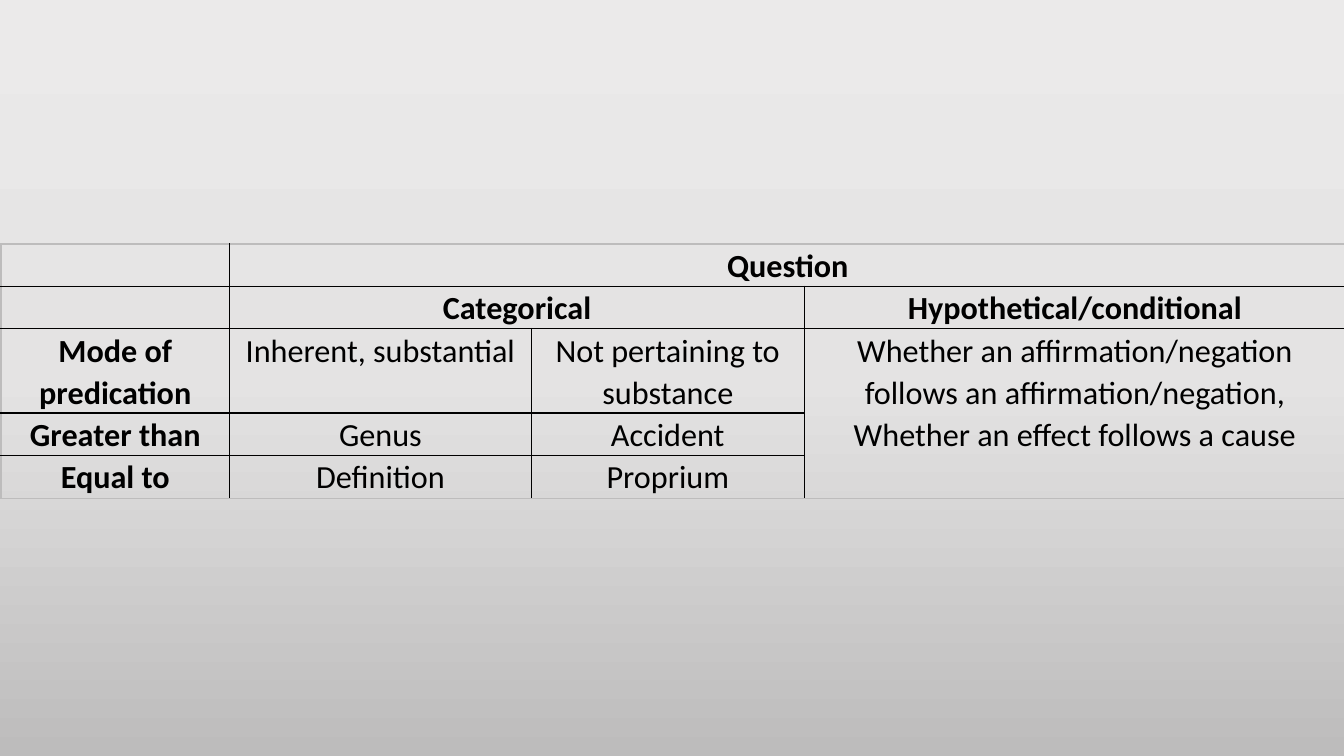
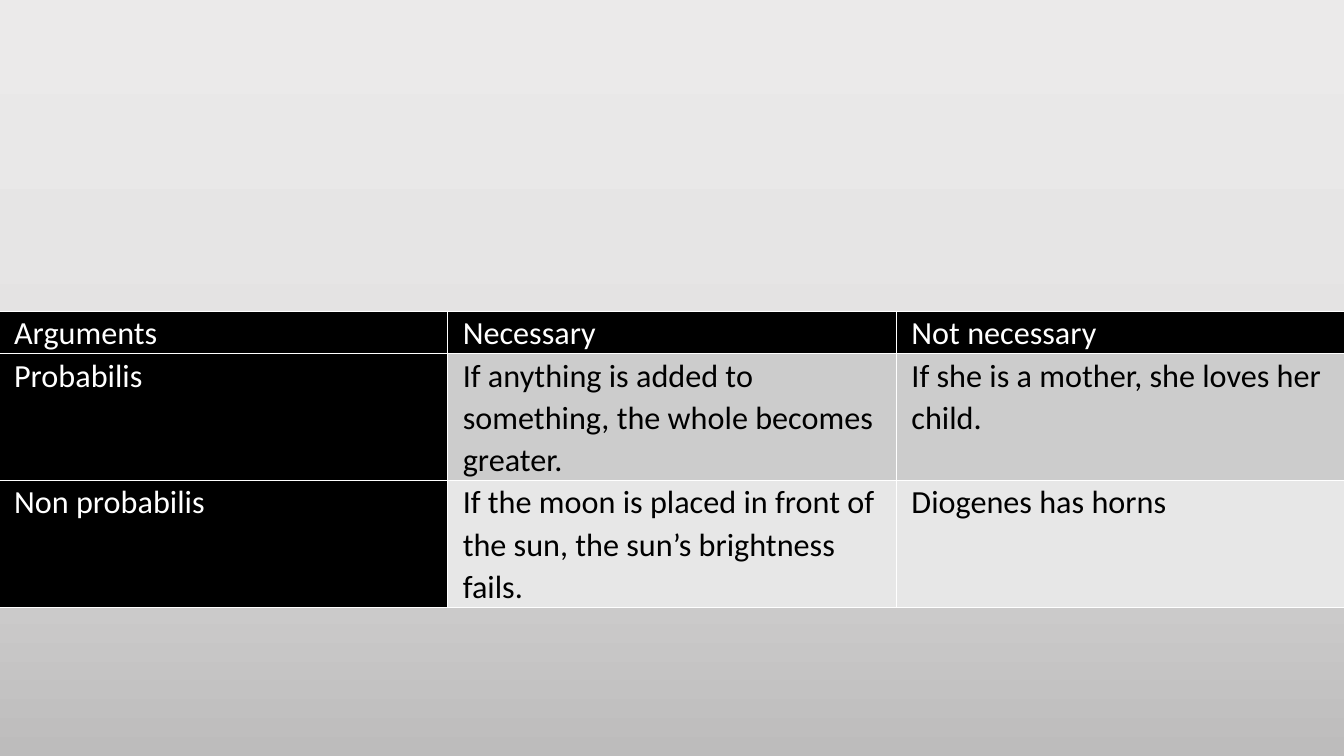
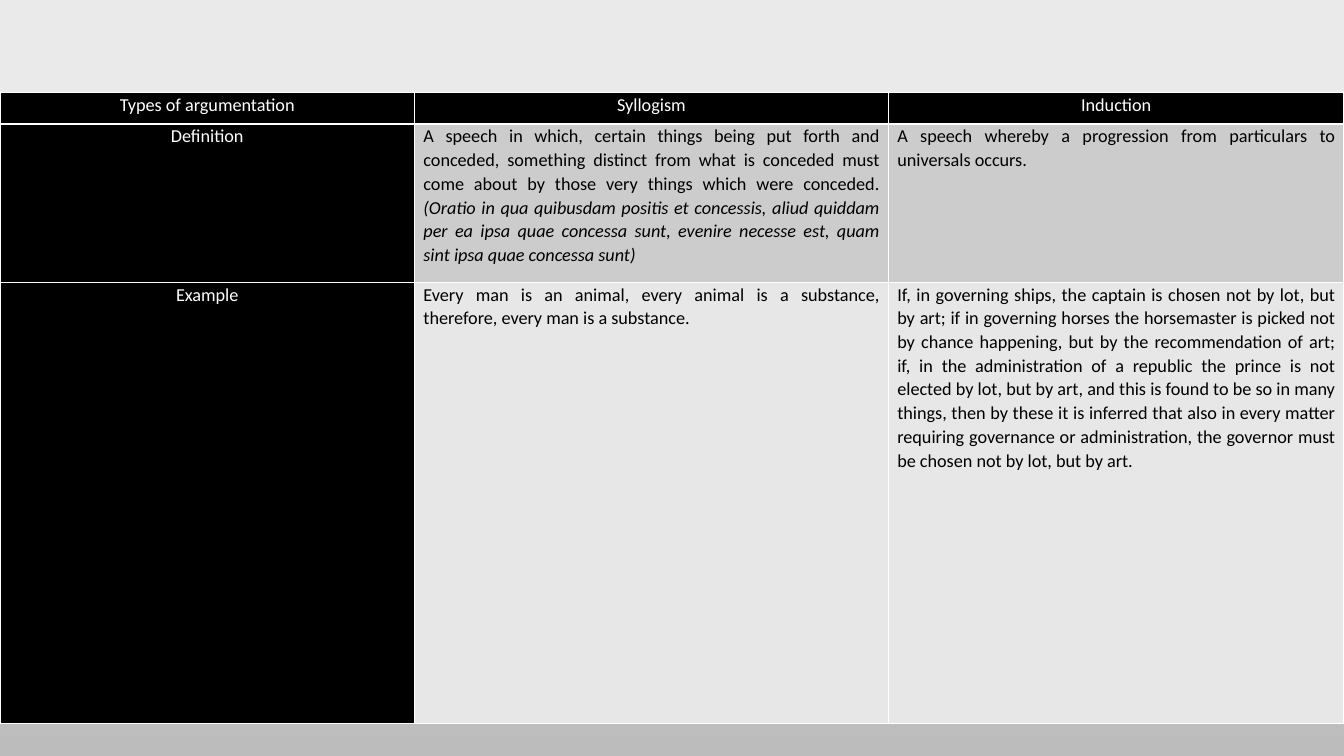
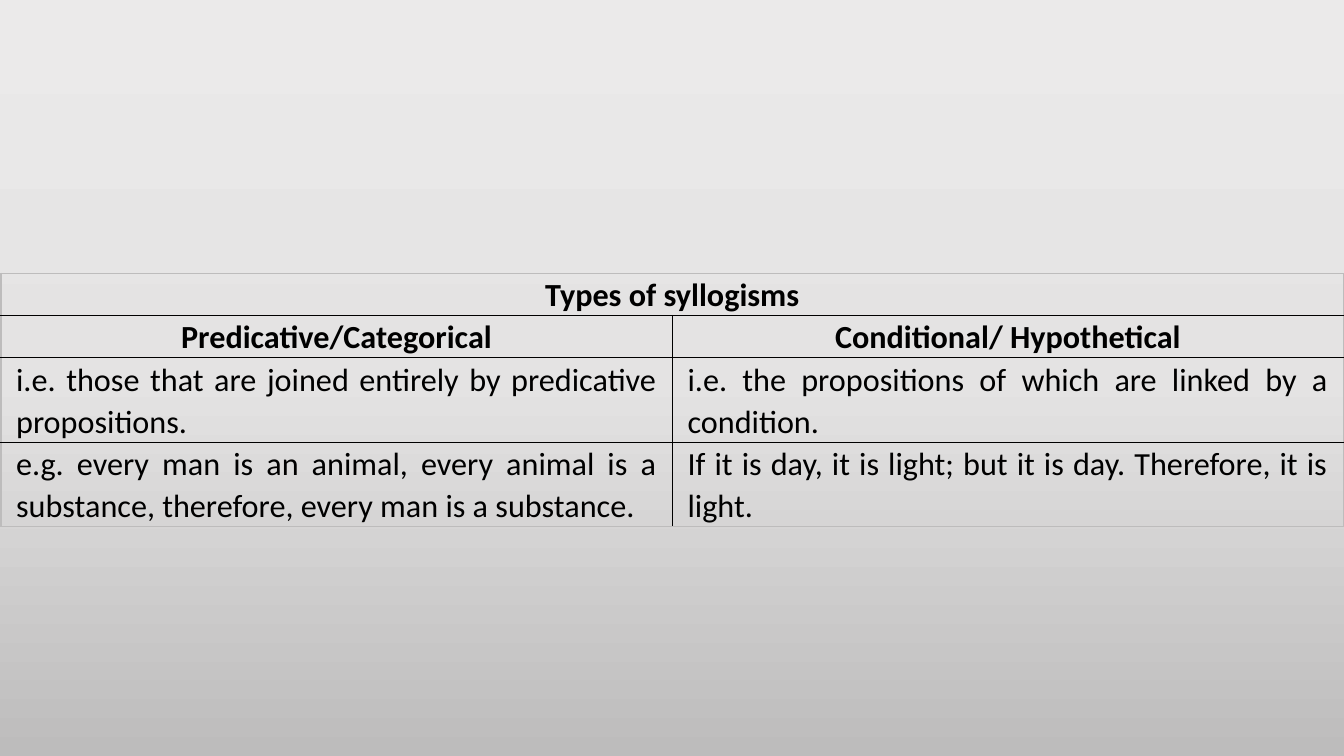
import copy

import pptx
import pptx.dml.color
import pptx.enum.text
import pptx.oxml.ns
import pptx.util
from lxml import etree

Inches = pptx.util.Inches
RGBColor = pptx.dml.color.RGBColor
qn = pptx.oxml.ns.qn
ALIGN = pptx.enum.text.PP_ALIGN

BLACK = RGBColor(0x00, 0x00, 0x00)
WHITE = RGBColor(0xFF, 0xFF, 0xFF)
EDGE_GRAY = RGBColor(0xBD, 0xBC, 0xBC)
BAND_FILLS = [RGBColor(0xCC, 0xCC, 0xCC), RGBColor(0xE7, 0xE7, 0xE7)]
BACKGROUND_STOPS = [
    (0, RGBColor(0xEB, 0xEA, 0xEA)),
    (0.5, RGBColor(0xE4, 0xE3, 0xE3)),
    (1, RGBColor(0xBD, 0xBC, 0xBC)),
]
FONT = "Calibri"
PLAIN_TABLE_STYLE = "{2D5ABB26-0587-4C30-8999-92F81FD0307C}"

# None marks a cell covered by a merge; a tuple holds plain text, then italic text.
TABLES = [
    dict(
        left=0.01, top=2.42, size=23, margin=0.15, dark_headers=False,
        columns=[2.27, 2.99, 2.71, 5.37], rows=[0.42, 0.42, 0.83, 0.42, 0.43],
        header_rows=2, header_columns=1,
        header_align=ALIGN.CENTER, body_align=ALIGN.CENTER,
        merges=[(0, 1, 0, 3), (1, 1, 1, 2), (2, 3, 4, 3)],
        cells=[
            ["", "Question", None, None],
            ["", "Categorical", None, "Hypothetical/conditional"],
            ["Mode of predication", "Inherent, substantial", "Not pertaining to substance",
             "Whether an affirmation/negation follows an affirmation/negation,\n"
             "Whether an effect follows a cause"],
            ["Greater than", "Genus", "Accident", None],
            ["Equal to", "Definition", "Proprium", None],
        ],
    ),
    dict(
        left=-0.01, top=3.09, size=23, margin=0.15, dark_headers=True,
        columns=[4.45] * 3, rows=[0.4, 1.19, 1.19],
        header_rows=1, header_columns=1,
        header_align=ALIGN.LEFT, body_align=ALIGN.LEFT,
        merges=[],
        cells=[
            ["Arguments", "Necessary", "Not necessary"],
            ["Probabilis", "If anything is added to something, the whole becomes greater.",
             "If she is a mother, she loves her child."],
            ["Non probabilis",
             "If the moon is placed in front of the sun, the sun’s brightness fails.",
             "Diogenes has horns"],
        ],
    ),
    dict(
        left=0, top=0.92, size=13, margin=0.09, dark_headers=True,
        columns=[4.11, 4.7, 4.52], rows=[0.31, 1.57, 4.38],
        header_rows=1, header_columns=1,
        header_align=ALIGN.CENTER, body_align=ALIGN.JUSTIFY,
        merges=[],
        cells=[
            ["Types of argumentation", "Syllogism", "Induction"],
            ["Definition",
             ("A speech in which, certain things being put forth and conceded, something "
              "distinct from what is conceded must come about by those very things which "
              "were conceded. ",
              "(Oratio in qua quibusdam positis et concessis, aliud quiddam per ea ipsa "
              "quae concessa sunt, evenire necesse est, quam sint ipsa quae concessa sunt)"),
             "A speech whereby a progression from particulars to universals occurs."],
            ["Example",
             "Every man is an animal, every animal is a substance, therefore, every man "
             "is a substance.",
             "If, in governing ships, the captain is chosen not by lot, but by art; if in "
             "governing horses the horsemaster is picked not by chance happening, but by "
             "the recommendation of art; if, in the administration of a republic the prince "
             "is not elected by lot, but by art, and this is found to be so in many things, "
             "then by these it is inferred that also in every matter requiring governance "
             "or administration, the governor must be chosen not by lot, but by art."],
        ],
    ),
    dict(
        left=0.01, top=2.71, size=23, margin=0.15, dark_headers=False,
        columns=[6.66] * 2, rows=[0.4, 0.4, 0.8, 0.8],
        header_rows=2, header_columns=0,
        header_align=ALIGN.CENTER, body_align=ALIGN.JUSTIFY,
        merges=[(0, 0, 0, 1)],
        cells=[
            ["Types of syllogisms", None],
            ["Predicative/Categorical", "Conditional/ Hypothetical"],
            ["i.e. those that are joined entirely by predicative propositions.",
             "i.e. the propositions of which are linked by a condition."],
            ["e.g. every man is an animal, every animal is a substance, therefore, every "
             "man is a substance.",
             "If it is day, it is light; but it is day. Therefore, it is light."],
        ],
    ),
]


def set_borders(cell, colors):
    """Draw 1 pt borders; colors are in the order left, right, top, bottom."""
    properties = cell._tc.get_or_add_tcPr()
    for index, (side, color) in enumerate(zip("LRTB", colors)):
        line = etree.Element(qn(f"a:ln{side}"), w=str(pptx.util.Pt(1)))
        fill = etree.SubElement(line, qn("a:solidFill"))
        etree.SubElement(fill, qn("a:srgbClr"), val=str(color))
        properties.insert(index, line)


presentation = pptx.Presentation()
presentation.slide_width = Inches(13.33)
presentation.slide_height = Inches(7.5)

master = presentation.slide_master
background = master.background.fill
background.gradient()
background.gradient_angle = 270
first_stop = next(master._element.iter(qn("a:gs")))
first_stop.addnext(copy.deepcopy(first_stop))
for stop, (position, color) in zip(background.gradient_stops, BACKGROUND_STOPS):
    stop.position = position
    stop.color.rgb = color

blank_layout = presentation.slide_layouts[6]

for data in TABLES:
    slide = presentation.slides.add_slide(blank_layout)
    row_count, column_count = len(data["rows"]), len(data["columns"])
    frame = slide.shapes.add_table(
        row_count, column_count, Inches(data["left"]), Inches(data["top"]),
        Inches(sum(data["columns"])), Inches(sum(data["rows"])))
    table = frame.table
    table.first_row = table.horz_banding = False
    next(frame._element.iter(qn("a:tableStyleId"))).text = PLAIN_TABLE_STYLE
    for column, width in zip(table.columns, data["columns"]):
        column.width = Inches(width)
    for row, height in zip(table.rows, data["rows"]):
        row.height = Inches(height)
    for top, left, bottom, right in data["merges"]:
        table.cell(top, left).merge(table.cell(bottom, right))

    inner, outer = (WHITE, WHITE) if data["dark_headers"] else (BLACK, EDGE_GRAY)
    for r, texts in enumerate(data["cells"]):
        for c, text in enumerate(texts):
            if text is None:
                continue
            cell = table.cell(r, c)
            is_header = r < data["header_rows"] or c < data["header_columns"]
            cell.margin_left = cell.margin_right = Inches(data["margin"])
            cell.margin_top = cell.margin_bottom = 0

            if data["dark_headers"]:
                cell.fill.solid()
                cell.fill.fore_color.rgb = BLACK if is_header else BAND_FILLS[r - 1]
            else:
                cell.fill.background()
            on_edge = [c == 0, c + cell.span_width == column_count,
                       r == 0, r + cell.span_height == row_count]
            set_borders(cell, [outer if edge else inner for edge in on_edge])

            plain, italic = text if isinstance(text, tuple) else (text, "")
            cell.text = plain
            if italic:
                run = cell.text_frame.paragraphs[0].add_run()
                run.text = italic
                run.font.italic = True
            for paragraph in cell.text_frame.paragraphs:
                paragraph.alignment = data["header_align"] if is_header else data["body_align"]
                paragraph.line_spacing = 1.07
                font = paragraph.font
                font.name = FONT
                font.size = pptx.util.Pt(data["size"])
                font.bold = is_header and not data["dark_headers"]
                font.color.rgb = WHITE if is_header and data["dark_headers"] else BLACK

presentation.save("out.pptx")
